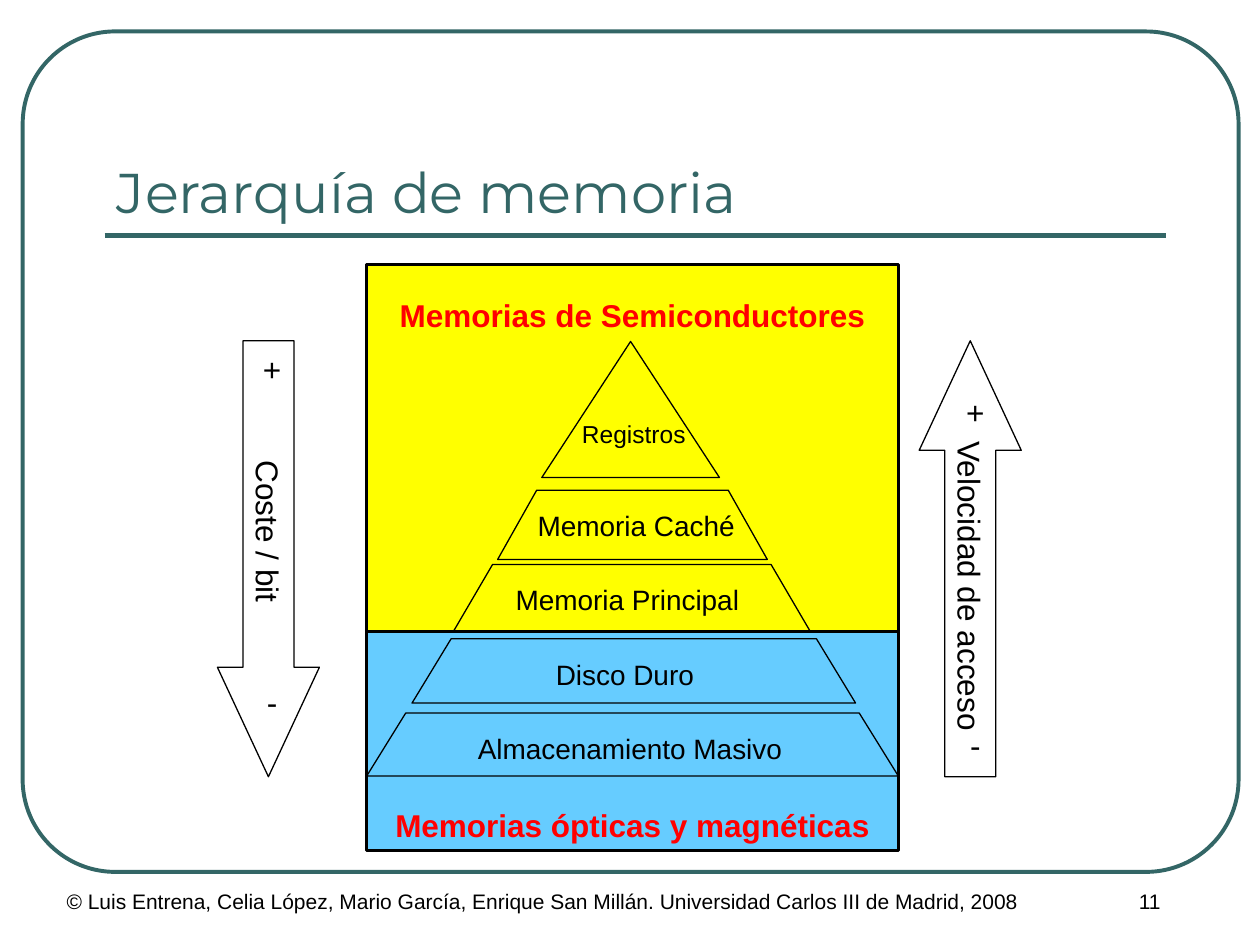
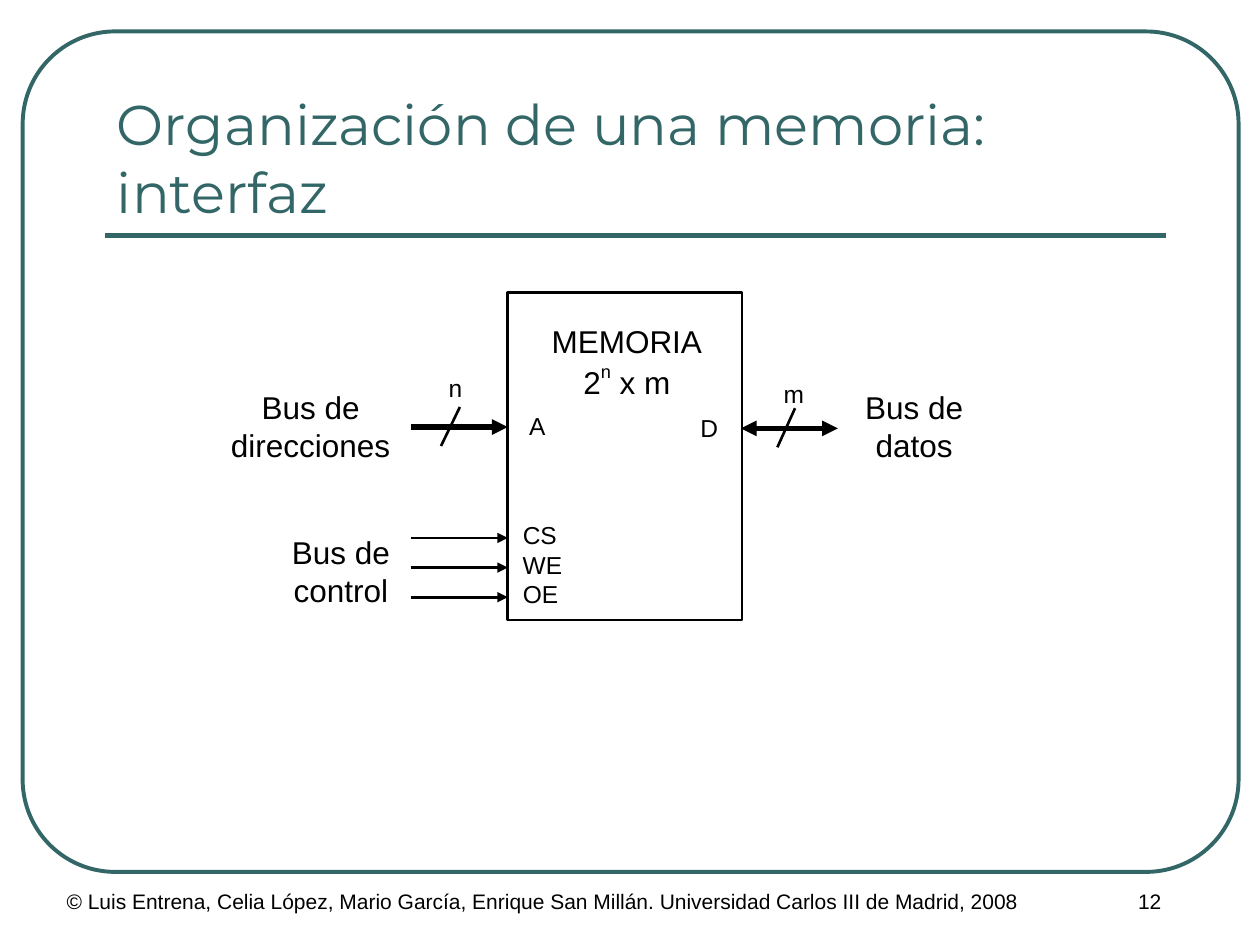
from lxml import etree
from pptx import Presentation
from pptx.dml.color import RGBColor
from pptx.enum.shapes import MSO_CONNECTOR, MSO_SHAPE
from pptx.enum.text import MSO_ANCHOR, PP_ALIGN
from pptx.oxml.ns import qn
from pptx.util import Inches, Pt

LEFT, CENTER = PP_ALIGN.LEFT, PP_ALIGN.CENTER
TOP, MIDDLE, BOTTOM = MSO_ANCHOR.TOP, MSO_ANCHOR.MIDDLE, MSO_ANCHOR.BOTTOM
RECTANGLE, ROUNDED = MSO_SHAPE.RECTANGLE, MSO_SHAPE.ROUNDED_RECTANGLE
TRIANGLE, ARROW = MSO_SHAPE.ISOSCELES_TRIANGLE, MSO_SHAPE.RIGHT_ARROW
STRAIGHT = MSO_CONNECTOR.STRAIGHT

TEAL, BLACK, RED = "336666", "000000", "FF0000"
YELLOW, BLUE = "FFFF00", "66CCFF"
BODY_FONT, TITLE_FONT = "Arial", "Montserrat"
FOOTER = ("© Luis Entrena, Celia López, Mario García, Enrique San Millán. "
          "Universidad Carlos III de Madrid, 2008")


def draw(shape, width, line=BLACK, fill=None, ends=()):
    shape.line.color.rgb = RGBColor.from_string(line)
    shape.line.width = Pt(width)
    for end in ends:
        etree.SubElement(shape.line._get_or_add_ln(), qn(end), type="triangle")
    if fill:
        shape.fill.solid()
        shape.fill.fore_color.rgb = RGBColor.from_string(fill)
    elif hasattr(shape, "fill"):
        shape.fill.background()
    etree.SubElement(shape._element.spPr, qn("a:effectLst"))
    return shape


def write(shape, paras, size, color=BLACK, font=BODY_FONT, bold=False,
          align=CENTER, anchor=TOP, wrap=False):
    frame = shape.text_frame
    frame.word_wrap = wrap
    frame.vertical_anchor = anchor
    frame.margin_left = frame.margin_right = Inches(0.1 if wrap else 0)
    for index, spans in enumerate(paras):
        para = frame.paragraphs[0] if index == 0 else frame.add_paragraph()
        para.alignment = align
        for text in spans:
            span = para.add_run()
            span.text = text
            span.font.name = font
            span.font.size = Pt(size)
            span.font.bold = bold
            span.font.color.rgb = RGBColor.from_string(color)
    return frame


deck = Presentation()
deck.slide_width, deck.slide_height = Inches(10), Inches(7.5)

pages = []
for number, title in ((11, "Jerarquía de memoria"),
                      (12, "Organización de una memoria: interfaz")):
    page = deck.slides.add_slide(deck.slide_layouts[6])
    pages.append(page)
    border = draw(page.shapes.add_shape(
        ROUNDED, Inches(0.18), Inches(0.25), Inches(9.65), Inches(6.67)), 2.25, TEAL)
    border.adjustments[0] = 0.11
    draw(page.shapes.add_connector(
        STRAIGHT, Inches(0.83), Inches(1.87), Inches(9.25), Inches(1.87)), 3, TEAL)
    box = page.shapes.add_textbox(Inches(0.43), Inches(7), Inches(8.5), Inches(0.5))
    write(box, [[FOOTER]], 12, align=LEFT, wrap=True)
    box = page.shapes.add_textbox(Inches(8.25), Inches(7), Inches(1.75), Inches(0.5))
    write(box, [[str(number)]], 12, wrap=True)
    box = page.shapes.add_textbox(Inches(0.83), Inches(0.58), Inches(8.42), Inches(1.25))
    write(box, [[title]], 32, TEAL, TITLE_FONT, align=LEFT, anchor=BOTTOM, wrap=True)

hierarchy, interface = pages

for top, height, fill in ((5.01, 1.74, BLUE), (2.1, 2.91, YELLOW)):
    draw(hierarchy.shapes.add_shape(
        RECTANGLE, Inches(2.91), Inches(top), Inches(4.22), Inches(height)), 1.5, fill=fill)

SLOPE = 0.31
levels = (
    ("Memoria Caché", 3.95, 6.09, 3.89, 4.44, 5.05),
    ("Memoria Principal", 3.6, 6.43, 4.48, 5.01, 4.98),
    ("Disco Duro", 3.27, 6.79, 5.07, 5.58, 4.96),
    ("Almacenamiento Masivo", 2.91, 7.13, 5.66, 6.16, 5),
)
for label, left, right, top, bottom, middle in levels:
    outline = hierarchy.shapes.build_freeform(Inches(left), Inches(bottom))
    outline.add_line_segments([
        (Inches(left + SLOPE), Inches(top)),
        (Inches(right - SLOPE), Inches(top)),
        (Inches(right), Inches(bottom)),
    ])
    draw(outline.convert_to_shape(), 0.75)
    box = hierarchy.shapes.add_textbox(
        Inches(middle - 1.75), Inches(top + 0.03), Inches(3.5), Inches(0.5))
    write(box, [[label]], 16, anchor=MIDDLE)

draw(hierarchy.shapes.add_shape(
    TRIANGLE, Inches(4.3), Inches(2.71), Inches(1.41), Inches(1.08)), 0.75)
box = hierarchy.shapes.add_textbox(Inches(4.34), Inches(3.22), Inches(1.38), Inches(0.45))
write(box, [["Registros"]], 14, anchor=MIDDLE)

for label, left, rotation, sign_middle, plus_top in (
        ("Coste / bit", 0.4, 90, 2.16, 2.73),
        ("Velocidad de acceso", 5.97, 270, 7.74, 3.07)):
    arrow = draw(hierarchy.shapes.add_shape(
        ARROW, Inches(left), Inches(4.03), Inches(3.46), Inches(0.81)), 0.75)
    arrow.adjustments[1] = 1.073
    arrow.rotation = rotation
    if rotation == 270:
        arrow._element.spPr.xfrm.set("flipV", "1")
    write(arrow, [[label]], 18, anchor=MIDDLE, wrap=True)
    for sign, top in (("+", plus_top), ("-", plus_top + 2.64)):
        box = hierarchy.shapes.add_textbox(
            Inches(sign_middle - 0.17), Inches(top), Inches(0.34), Inches(0.4))
        write(box, [[sign]], 18)

for heading, top in (("Memorias de Semiconductores", 2.3),
                     ("Memorias ópticas y magnéticas", 6.35)):
    box = hierarchy.shapes.add_textbox(Inches(3.04), Inches(top), Inches(3.96), Inches(0.4))
    write(box, [[heading]], 18, RED, bold=True)

draw(interface.shapes.add_shape(
    RECTANGLE, Inches(4.03), Inches(2.32), Inches(1.86), Inches(2.6)), 1.5)
box = interface.shapes.add_textbox(Inches(4.28), Inches(2.51), Inches(1.39), Inches(0.72))
frame = write(box, [["MEMORIA"], ["2", "n", " x m"]], 18)
frame.paragraphs[1].runs[1].font._element.set("baseline", "50000")

HEAD, TAIL = "a:headEnd", "a:tailEnd"
wires = [
    (3.26, 3.39, 4.03, 3.39, 3, (TAIL,)),
    (3.65, 3.23, 3.5, 3.54, 1.5, ()),
    (5.88, 3.4, 6.65, 3.4, 3, (HEAD, TAIL)),
    (6.31, 3.24, 6.17, 3.55, 1.5, ()),
]
pins = [("A", 4.1, 3.21, 0.33), ("n", 3.46, 2.91, 0.31),
        ("D", 5.46, 3.23, 0.34), ("m", 6.12, 2.96, 0.36)]
for index, (signal, width) in enumerate((("CS", 0.47), ("WE", 0.51), ("OE", 0.48))):
    height = 4.27 + index * 0.235
    wires.append((3.26, height, 4.03, height, 1.5, (TAIL,)))
    pins.append((signal, 4.05, height - 0.19, width))

for start_x, start_y, end_x, end_y, weight, ends in wires:
    draw(interface.shapes.add_connector(
        STRAIGHT, Inches(start_x), Inches(start_y), Inches(end_x), Inches(end_y)),
        weight, ends=ends)

for label, left, top, width in pins:
    box = interface.shapes.add_textbox(Inches(left), Inches(top), Inches(width), Inches(0.34))
    write(box, [[label]], 14)

for label, left, top, width in (("Bus de datos", 6.65, 3.03, 1.21),
                                ("Bus de control", 2.15, 4.18, 1.11),
                                ("Bus de direcciones", 1.67, 3.03, 1.59)):
    box = interface.shapes.add_textbox(Inches(left), Inches(top), Inches(width), Inches(0.7))
    write(box, [[label]], 18, wrap=True)

deck.save("out.pptx")
